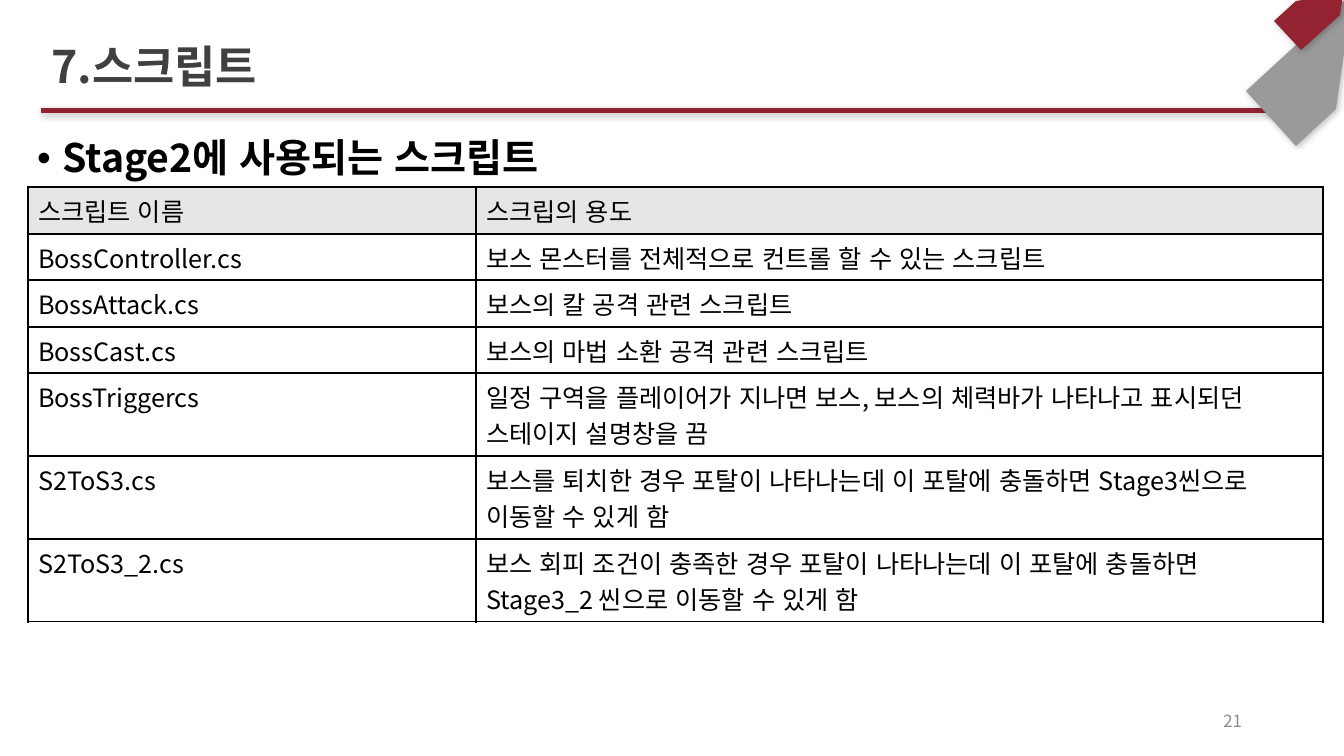
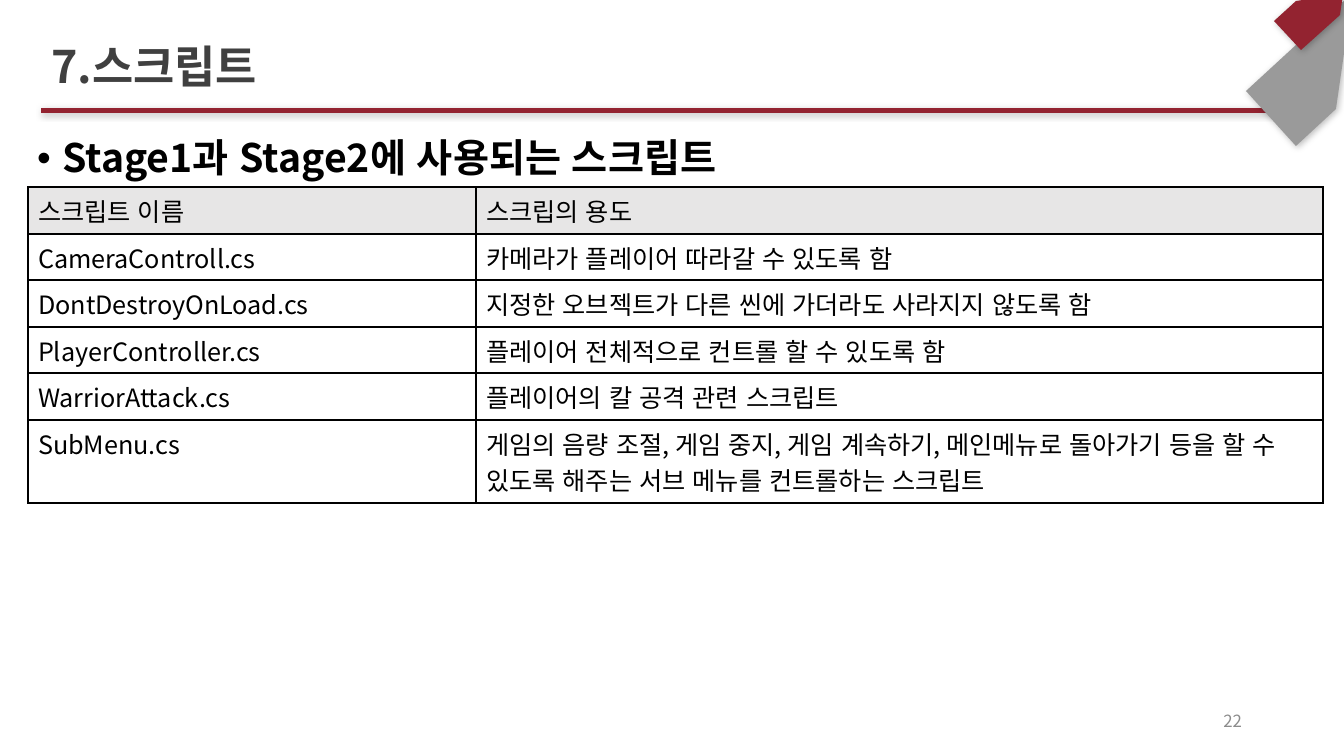
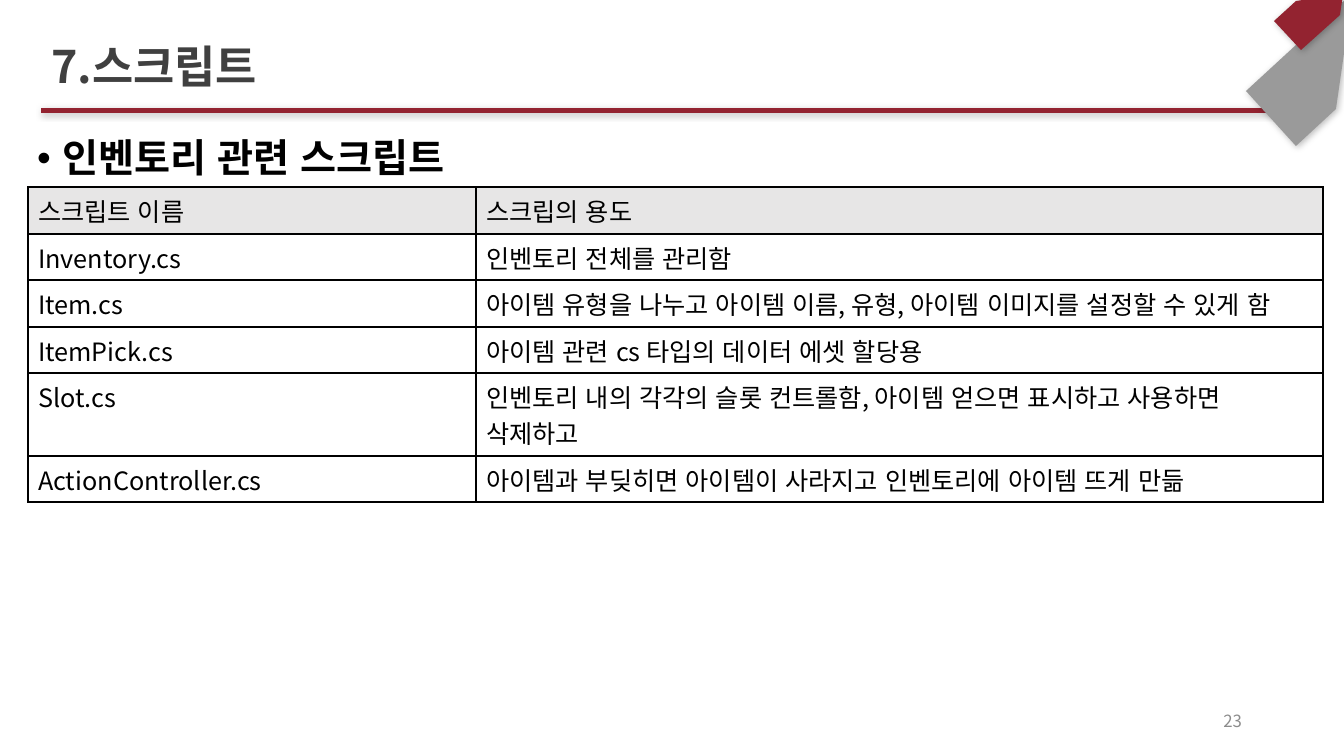
from dataclasses import dataclass

from lxml.etree import SubElement as Sub
from pptx import Presentation
from pptx.dml.color import RGBColor
from pptx.enum.lang import MSO_LANGUAGE_ID as Lang
from pptx.enum.text import MSO_ANCHOR as Anchor, MSO_AUTO_SIZE as Fit, PP_ALIGN as Align
from pptx.oxml.ns import qn
from pptx.util import Emu, Pt

FACE = "Noto Sans CJK KR"
RED, GRAY, BLACK = "932330", "9A9A9A", "000000"
HEAD, FAINT = "E7E6E6", "8C8C8C"
DARK, SOFT = "404040", "595959"
COLS = (448, 847)
FIRST = 21


@dataclass
class Band:
    fill: str
    points: list[tuple[int, int]]


@dataclass
class Row:
    name: str
    use: str
    lines: int = 1


@dataclass
class Page:
    topic: str
    rows: list[Row]


LABELS = Row("스크립트 이름", "스크립의 용도")

BANDS = [
    Band(RED, [(41, 108), (1315, 108), (1315, 113), (41, 113)]),
    Band(GRAY, [(1346, -1), (1352, -2), (1336, 109), (1296, 146), (1246, 91)]),
    Band(RED, [(1296, 1), (1343, -6), (1340, 15), (1301, 50), (1274, 21)]),
]

PAGES = [
    Page("Stage2에 사용되는 스크립트", [
        Row("BossController.cs", "보스 몬스터를 전체적으로 컨트롤 할 수 있는 스크립트"),
        Row("BossAttack.cs", "보스의 칼 공격 관련 스크립트"),
        Row("BossCast.cs", "보스의 마법 소환 공격 관련 스크립트"),
        Row("BossTriggercs", "일정 구역을 플레이어가 지나면 보스, 보스의 체력바가 나타나고 "
            "표시되던 스테이지 설명창을 끔", 2),
        Row("S2ToS3.cs", "보스를 퇴치한 경우 포탈이 나타나는데 이 포탈에 충돌하면 "
            "Stage3씬으로 이동할 수 있게 함", 2),
        Row("S2ToS3_2.cs", "보스 회피 조건이 충족한 경우 포탈이 나타나는데 이 포탈에 충돌하면 "
            "Stage3_2 씬으로 이동할 수 있게 함", 2),
    ]),
    Page("Stage1과 Stage2에 사용되는 스크립트", [
        Row("CameraControll.cs", "카메라가 플레이어 따라갈 수 있도록 함"),
        Row("DontDestroyOnLoad.cs", "지정한 오브젝트가 다른 씬에 가더라도 사라지지 않도록 함"),
        Row("PlayerController.cs", "플레이어 전체적으로 컨트롤 할 수 있도록 함"),
        Row("WarriorAttack.cs", "플레이어의 칼 공격 관련 스크립트"),
        Row("SubMenu.cs", "게임의 음량 조절, 게임 중지, 게임 계속하기, 메인메뉴로 돌아가기 등을 "
            "할 수 있도록 해주는 서브 메뉴를 컨트롤하는 스크립트", 2),
    ]),
    Page("인벤토리 관련 스크립트", [
        Row("Inventory.cs", "인벤토리 전체를 관리함"),
        Row("Item.cs", "아이템 유형을 나누고 아이템 이름, 유형, 아이템 이미지를 설정할 수 있게 함"),
        Row("ItemPick.cs", "아이템 관련 cs 타입의 데이터 에셋 할당용"),
        Row("Slot.cs", "인벤토리 내의 각각의 슬롯 컨트롤함, 아이템 얻으면 표시하고 "
            "사용하면 삭제하고", 2),
        Row("ActionController.cs", "아이템과 부딪히면 아이템이 사라지고 인벤토리에 아이템 뜨게 만듦"),
    ]),
]


def px(n: int) -> Emu:
    return Emu(round(n * 12192000 / 1344))


def hue(code: str) -> RGBColor:
    return RGBColor.from_string(code)


def place(shape, left: int, top: int, width: int, height: int) -> None:
    shape.left, shape.top = px(left), px(top)
    shape.width, shape.height = px(width), px(height)


def style(frame, size: int, code: str, bold: bool = False):
    para = frame.paragraphs[0]
    run = para.runs[0]
    font = run.font
    font.name, font.size, font.bold = FACE, Pt(size), bold
    font.color.rgb = hue(code)
    font.language_id = Lang.KOREAN
    props = run._r.get_or_add_rPr()
    props.set("kern", "0")
    Sub(props, qn("a:ea"), typeface=FACE)
    return para


def shade(shape) -> None:
    effects = Sub(shape.element.spPr, qn("a:effectLst"))
    outer = Sub(effects, qn("a:outerShdw"), blurRad=str(Pt(5)), dist=str(Pt(2)),
                dir="2700000", algn="tl", rotWithShape="0")
    color = Sub(outer, qn("a:srgbClr"), val=BLACK)
    Sub(color, qn("a:alpha"), val="26000")


def frame_deck(layout, slide) -> None:
    for band in BANDS:
        start, *rest = [(px(x), px(y)) for x, y in band.points]
        pen = slide.shapes.build_freeform(*start)
        pen.add_line_segments(rest, close=True)
        shape = pen.convert_to_shape()
        shape.fill.solid()
        shape.fill.fore_color.rgb = hue(band.fill)
        shape.line.fill.background()
        shade(shape)
        layout.element.cSld.spTree.append(shape.element)


def add_title(slide) -> None:
    title = slide.shapes.title
    frame = title.text_frame
    frame.text = "7.스크립트"
    frame.auto_size, frame.vertical_anchor = Fit.NONE, Anchor.MIDDLE
    para = style(frame, 32, DARK, True)
    para.alignment, para.line_spacing = Align.LEFT, 0.9
    fill = para.runs[0].font.fill
    fill.gradient()
    fill.gradient_angle = 270
    for stop, code in zip(fill.gradient_stops, (DARK, SOFT)):
        stop.color.rgb = hue(code)


def add_topic(slide, text: str) -> None:
    frame = slide.placeholders[1].text_frame
    frame.text = text
    frame.auto_size = Fit.NONE
    para = style(frame, 28, BLACK, True)
    para.line_spacing, para.space_before = 0.9, Pt(0)
    props = para._p.get_or_add_pPr()
    props.set("marL", "228600")
    props.set("indent", "-228600")


def add_count(slide, count: int) -> None:
    box = slide.shapes.add_textbox(px(950), px(701), px(302), px(40))
    frame = box.text_frame
    frame.text = str(count)
    frame.word_wrap, frame.vertical_anchor = True, Anchor.MIDDLE
    style(frame, 12, FAINT).alignment = Align.RIGHT


def edge(cell) -> None:
    props = cell._tc.get_or_add_tcPr()
    for side in ("lnL", "lnR", "lnT", "lnB"):
        line = Sub(props, qn(f"a:{side}"), w=str(Pt(1)))
        Sub(Sub(line, qn("a:solidFill")), qn("a:srgbClr"), val=BLACK)


def add_grid(slide, rows: list[Row]) -> None:
    rows = [LABELS, *rows]
    tall = [83 if row.lines > 1 else 47 - r % 2 for r, row in enumerate(rows)]
    shape = slide.shapes.add_table(len(rows), len(COLS), px(28), px(187),
                                   px(sum(COLS)), px(sum(tall)))
    table = shape.table
    table.first_row = table.horz_banding = False
    for col, width in zip(table.columns, COLS):
        col.width = px(width)
    for r, row in enumerate(rows):
        table.rows[r].height = px(tall[r])
        for c, text in enumerate((row.name, row.use)):
            cell = table.cell(r, c)
            cell.text_frame.text = text
            style(cell.text_frame, 18, BLACK)
            edge(cell)
            if r:
                cell.fill.background()
            else:
                cell.fill.solid()
                cell.fill.fore_color.rgb = hue(HEAD)


def main() -> None:
    deck = Presentation()
    deck.slide_width, deck.slide_height = px(1344), px(756)
    layout = deck.slide_layouts[1]
    for holder in layout.placeholders:
        if holder.placeholder_format.idx == 0:
            place(holder, 41, 39, 1081, 59)
        elif holder.placeholder_format.idx == 1:
            place(holder, 27, 134, 1225, 547)
    for count, page in enumerate(PAGES, FIRST):
        slide = deck.slides.add_slide(layout)
        if count == FIRST:
            frame_deck(layout, slide)
        add_topic(slide, page.topic)
        add_title(slide)
        add_count(slide, count)
        add_grid(slide, page.rows)
    deck.save("out.pptx")


if __name__ == "__main__":
    main()
